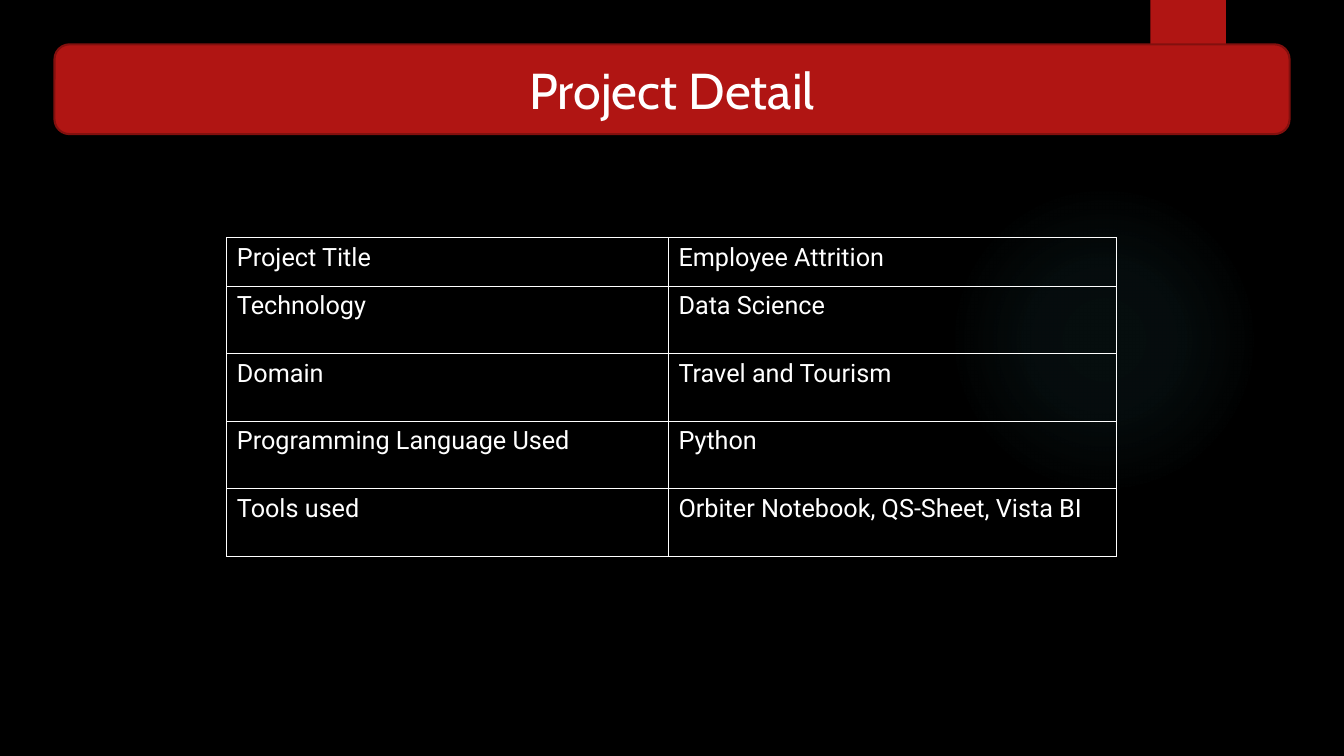
"""Build the project detail slide with its banner and table."""
from dataclasses import dataclass

from pptx import Presentation
from pptx.dml.color import RGBColor
from pptx.enum.shapes import MSO_SHAPE
from pptx.enum.text import MSO_ANCHOR, PP_ALIGN
from pptx.oxml import parse_xml
from pptx.oxml.ns import nsdecls
from pptx.util import Inches, Pt

ELLIPSE = MSO_SHAPE.OVAL
RECT = MSO_SHAPE.RECTANGLE
ROUND_RECT = MSO_SHAPE.ROUNDED_RECTANGLE
CENTER = PP_ALIGN.CENTER
MIDDLE = MSO_ANCHOR.MIDDLE

BLACK, WHITE, RED, DARK_RED, TEAL = "000000", "FFFFFF", "B01513", "82100E", "50B9C1"
GLOW_STOPS = ((0, 7), (36, 6), (69, 0), (100, 0))
BANNER_BOX = (0.54, 0.44, 12.25, 0.89)
COL_WIDTHS = (4.38, 4.44)
ROW_HEIGHTS = (0.48,) + (0.67,) * 4
DETAILS = (
    ("Project Title", "Employee Attrition"),
    ("Technology", "Data Science"),
    ("Domain", "Travel and Tourism"),
    ("Programming Language Used", "Python"),
    ("Tools used", "Orbiter Notebook, QS-Sheet, Vista BI"),
)


@dataclass
class Panel:
    kind: MSO_SHAPE
    box: tuple[float, float, float, float]
    fill: str | None = None
    line: str | None = None


GLOW = Panel(ELLIPSE, (9.41, 1.83, 3.08, 3.08))
TAB = Panel(RECT, (11.41, 0, 0.75, 1.25), RED)
BANNER = Panel(ROUND_RECT, BANNER_BOX, RED, DARK_RED)


def color(hex_color: str) -> RGBColor:
    return RGBColor.from_string(hex_color)


def add_panel(s, panel: Panel):
    shape = s.shapes.add_shape(panel.kind, *map(Inches, panel.box))
    shape.shadow.inherit = False
    if panel.fill:
        shape.fill.solid()
        shape.fill.fore_color.rgb = color(panel.fill)
    if panel.line:
        shape.line.color.rgb = color(panel.line)
        shape.line.width = Pt(1.5)
    else:
        shape.line.fill.background()
    return shape


def add_glow(s) -> None:
    shape = add_panel(s, GLOW)
    stops = "".join(
        f'<a:gs pos="{pos * 1000}"><a:srgbClr val="{TEAL}">'
        f'<a:alpha val="{alpha * 1000}"/></a:srgbClr></a:gs>'
        for pos, alpha in GLOW_STOPS
    )
    gradient = parse_xml(
        f'<a:gradFill {nsdecls("a")}><a:gsLst>{stops}</a:gsLst><a:path path="circle">'
        '<a:fillToRect l="50000" t="50000" r="50000" b="50000"/></a:path></a:gradFill>'
    )
    shape.element.spPr.insert(2, gradient)


def add_text(p, text: str, font: str, size: float) -> None:
    r = p.add_run()
    r.text = text
    r.font.name = font
    r.font.size = Pt(size)
    r.font.bold = False
    r.font.color.rgb = color(WHITE)


def add_title(s, text: str) -> None:
    banner = add_panel(s, BANNER)
    title = s.shapes.title
    title.left, title.top, title.width, title.height = map(Inches, BANNER_BOX)
    banner.element.addnext(title.element)
    tf = title.text_frame
    tf.word_wrap = True
    tf.vertical_anchor = MIDDLE
    p = tf.paragraphs[0]
    p.alignment = CENTER
    add_text(p, text, "Cabin", 36)


def add_borders(cell) -> None:
    tc_pr = cell.fill and cell._tc.get_or_add_tcPr()
    for i, side in enumerate(("lnL", "lnR", "lnT", "lnB")):
        tc_pr.insert(i, parse_xml(
            f'<a:{side} {nsdecls("a")} w="{Pt(1)}"><a:solidFill>'
            f'<a:srgbClr val="{WHITE}"/></a:solidFill></a:{side}>'
        ))


def add_details(s) -> None:
    size = map(Inches, (2.25, 2.36, sum(COL_WIDTHS), sum(ROW_HEIGHTS)))
    table = s.shapes.add_table(len(DETAILS), len(COL_WIDTHS), *size).table
    table.first_row = table.horz_banding = False
    for column, width in zip(table.columns, COL_WIDTHS):
        column.width = Inches(width)
    for row, height, texts in zip(table.rows, ROW_HEIGHTS, DETAILS):
        row.height = Inches(height)
        for cell, text in zip(row.cells, texts):
            cell.fill.background()
            add_borders(cell)
            add_text(cell.text_frame.paragraphs[0], text, "Roboto", 18)


def main() -> None:
    prs = Presentation()
    prs.slide_width, prs.slide_height = Inches(13.33), Inches(7.5)
    s = prs.slides.add_slide(prs.slide_layouts[5])
    s.background.fill.solid()
    s.background.fill.fore_color.rgb = color(BLACK)
    add_glow(s)
    add_panel(s, TAB)
    add_title(s, "Project Detail")
    add_details(s)
    prs.save("out.pptx")


if __name__ == "__main__":
    main()
